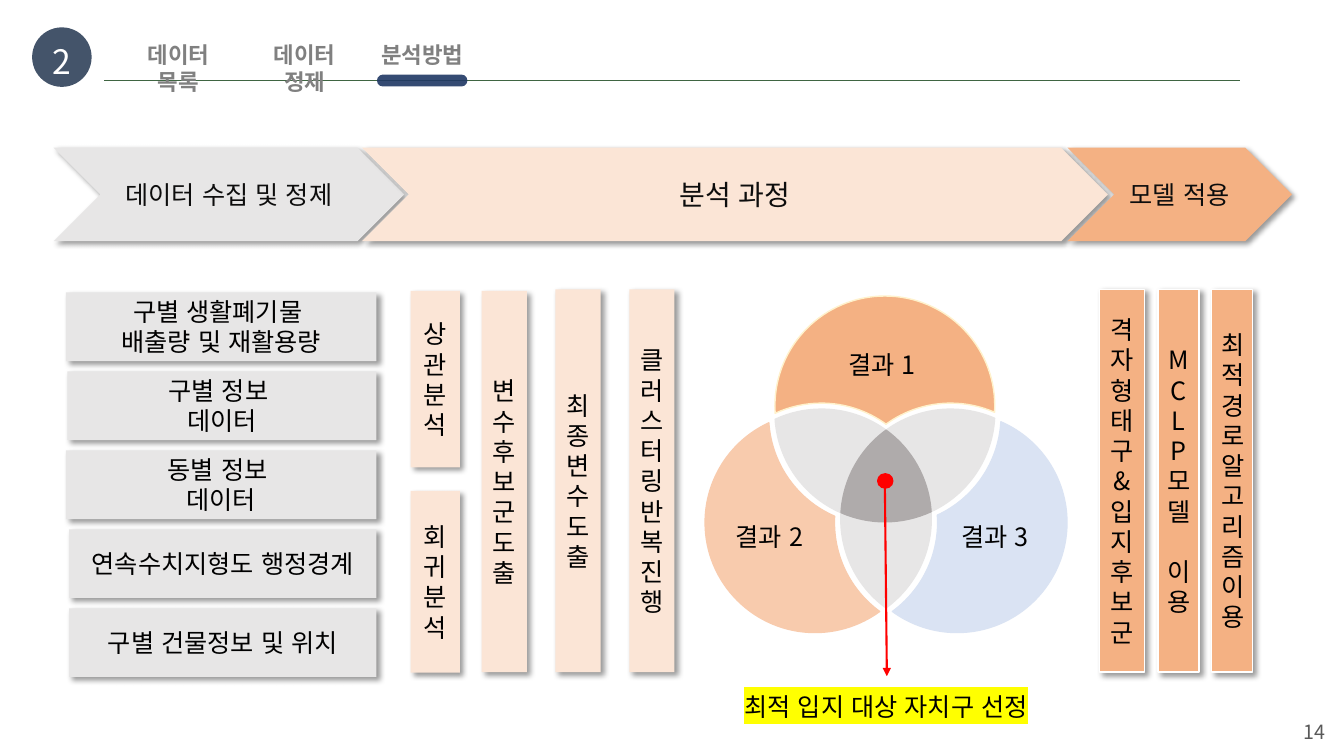
from dataclasses import dataclass
from math import atan2, ceil, cos, dist, floor, pi, sin, sqrt, tan

from lxml.etree import SubElement as Sub
from pptx import Presentation
from pptx.dml.color import RGBColor as Rgb
from pptx.enum.lang import MSO_LANGUAGE_ID as Lang
from pptx.enum.shapes import MSO_CONNECTOR as Link, MSO_SHAPE as Kind
from pptx.enum.text import MSO_ANCHOR as Anchor, MSO_AUTO_SIZE as Auto, PP_ALIGN as Align
from pptx.oxml.ns import qn
from pptx.util import Cm, Pt

FONT = "Noto Sans CJK KR"
HUES = {
    "black": "000000", "ink": "0D0D0D", "white": "FFFFFF", "slate": "44546A",
    "navy": "203864", "green": "3F6542", "gray": "808080", "page": "595959",
    "pale": "E7E6E6", "core": "AFABAB", "peach": "FBE5D6", "orange": "F4B183",
    "salmon": "F8CBAD", "blue": "DAE3F3", "cream": "FFF2CC", "red": "FF0000",
    "yellow": "FFFF00",
}
Point = tuple[float, float]
Curve = tuple[Point, Point, Point]


@dataclass
class Box:
    text: str
    x: float
    y: float
    w: float
    h: float
    fill: str
    edge: str = ""
    kind: Kind = Kind.RECTANGLE
    size: int = 18
    ink: str = "black"
    shade: bool = True


@dataclass
class Label:
    text: str
    x: float
    y: float
    w: float
    h: float
    size: int = 18
    ink: str = "black"
    bold: bool = False
    align: Align = Align.CENTER
    mark: str = ""


@dataclass
class Petal:
    mid: Point
    shift: Point
    fill: str
    edge: str


deck = Presentation()
deck.slide_width, deck.slide_height = Cm(33.87), Cm(19.05)
slide = deck.slides.add_slide(deck.slide_layouts[5])
shapes = slide.shapes


def hue(name: str) -> Rgb:
    return Rgb.from_string(HUES[name])


def write(frame, text: str, size: int, ink: str, bold=False, align=Align.CENTER) -> None:
    frame.word_wrap = True
    frame.text = text
    for para in frame.paragraphs:
        para.alignment = align
        font = para.font
        font.size, font.bold, font.name = Pt(size), bold, FONT
        font.language_id = Lang.KOREAN
        font.color.rgb = hue(ink)
        base = para._p.get_or_add_pPr().get_or_add_defRPr()
        base.set("kern", "0")
        Sub(base, qn("a:ea"), typeface=FONT)


def paint(shape, fill: str, edge: str = "") -> None:
    shape.shadow.inherit = False
    shape.fill.solid()
    shape.fill.fore_color.rgb = hue(fill)
    if edge:
        shape.line.color.rgb = hue(edge)
        shape.line.width = Pt(1)
    else:
        shape.line.fill.background()


def cast(shape) -> None:
    effects = shape._element.spPr.find(qn("a:effectLst"))
    outer = Sub(effects, qn("a:outerShdw"), blurRad=str(Pt(4)), dist=str(Pt(3)),
                dir="2700000", algn="tl", rotWithShape="0")
    Sub(Sub(outer, qn("a:srgbClr"), val=HUES["black"]), qn("a:alpha"), val="40000")


def draw(box: Box):
    shape = shapes.add_shape(box.kind, Cm(box.x), Cm(box.y), Cm(box.w), Cm(box.h))
    paint(shape, box.fill, box.edge)
    if box.shade:
        cast(shape)
    if box.text:
        shape.text_frame.vertical_anchor = Anchor.MIDDLE
        write(shape.text_frame, box.text, box.size, box.ink)
    return shape


def place(label: Label) -> None:
    frame = shapes.add_textbox(Cm(label.x), Cm(label.y), Cm(label.w), Cm(label.h)).text_frame
    write(frame, label.text, label.size, label.ink, label.bold, label.align)
    if label.mark:
        props = frame.paragraphs[0].runs[0]._r.get_or_add_rPr()
        Sub(Sub(props, qn("a:highlight")), qn("a:srgbClr"), val=HUES[label.mark])


def rule(start: Point, end: Point, ink: str, width: float):
    line = shapes.add_connector(Link.STRAIGHT, *map(Cm, start + end))
    line.line.color.rgb = hue(ink)
    line.line.width = Pt(width)
    Sub(line._element.spPr, qn("a:effectLst"))
    return line


# Header
rule((2.63, 2.03), (31.24, 2.03), "green", 0.5)
draw(Box("", 0.81, 0.69, 1.5, 1.5, "slate", kind=Kind.OVAL, shade=False))
place(Label("2", 1.08, 0.91, 0.97, 1.27, 24, "white"))
for text, x in (("데이터 목록", 2.91), ("데이터 정제", 6.09)):
    place(Label(text, x, 0.91, 3.18, 0.94, 16, "gray", True))
bar = draw(Box("", 9.5, 1.88, 2.28, 0.3, "navy", kind=Kind.ROUNDED_RECTANGLE, shade=False))
bar.adjustments[0] = 0.5
Sub(bar._element.spPr.find(qn("a:solidFill"))[0], qn("a:alpha"), val="90000")
title = shapes.title
title.left, title.top, title.width, title.height = map(Cm, (9.26, 0.91, 2.77, 0.94))
title.text_frame.auto_size = Auto.NONE
title.text_frame.vertical_anchor = Anchor.TOP
write(title.text_frame, "분석방법", 16, "gray", True)

# Process steps
for text, x, w, fill, size in (
    ("데이터 수집 및 정제", 1.35, 8.84, "pale", 18),
    ("분석 과정", 9.12, 18.8, "peach", 20),
    ("모델 적용", 26.9, 5.66, "orange", 18),
):
    draw(Box(text, x, 3.72, w, 2.36, fill, kind=Kind.CHEVRON, size=size, ink="ink"))

# Data sources
for row, (text, x) in enumerate((
    ("구별 생활폐기물 \n배출량 및 재활용량", 1.66),
    ("구별 정보 \n데이터", 1.7),
    ("동별 정보 \n데이터", 1.66),
    ("연속수치지형도 행정경계", 1.74),
    ("구별 건물정보 및 위치", 1.74),
)):
    draw(Box(text, x, 7.37 + 1.99 * row, 9.49 - x, 1.73, "pale"))

# Upright bars
for bar in (
    Box("상관분석", 10.35, 7.33, 1.24, 4.45, "peach"),
    Box("회귀분석", 10.35, 12.37, 1.24, 4.58, "peach"),
    Box("변수 \n후보군 \n도출", 12.14, 7.33, 1.14, 9.61, "peach"),
    Box("최종변수\n도출", 14, 7.29, 1.14, 9.65, "peach"),
    Box("클러스터링 \n반복진행", 15.86, 7.29, 1.14, 9.65, "peach"),
    Box("격자형태 구&입지후보군", 27.71, 7.29, 1.14, 9.65, "orange", "white"),
    Box("MCLP 모델 이용", 29.18, 7.29, 1.04, 9.65, "orange", "white"),
    Box("최적경로알고리즘이용", 30.53, 7.29, 1.04, 9.65, "orange", "white"),
):
    draw(bar)

# Venn diagram: circles run clockwise from the top
RADIUS = 2.77
petals = [
    Petal((22.3, 10.38), (0, -0.15), "orange", "cream"),
    Petal((23.96, 13.08), (0.16, 0.09), "blue", "blue"),
    Petal((20.7, 13.08), (-0.16, 0.09), "salmon", "salmon"),
]


def meet(i: int, j: int, inner: bool) -> Point:
    """Crossing of two circles, inside or outside the third."""
    (ax, ay), (bx, by) = petals[i].mid, petals[j].mid
    gap = dist((ax, ay), (bx, by))
    rise = sqrt(RADIUS ** 2 - gap ** 2 / 4) / gap
    ends = [((ax + bx) / 2 + s * rise * (ay - by), (ay + by) / 2 + s * rise * (bx - ax))
            for s in (1, -1)]
    ends.sort(key=lambda p: dist(p, petals[3 - i - j].mid))
    return ends[0] if inner else ends[1]


def arc(i: int, start: Point, end: Point, turn: int) -> list[Curve]:
    """Curves along circle i, cut at its extremes; turn 1 is clockwise."""
    x, y = petals[i].mid
    a, b = (atan2(p[1] - y, p[0] - x) for p in (start, end))
    b = a + turn * ((turn * (b - a)) % (2 * pi))
    low, high = sorted((a, b))
    cuts = [n * pi / 2 for n in range(ceil(low * 2 / pi), floor(high * 2 / pi) + 1)]
    stops = [a, *cuts[::turn], b]

    def spot(t: float, pull: float = 0) -> Point:
        return (x + RADIUS * (cos(t) - pull * sin(t)), y + RADIUS * (sin(t) + pull * cos(t)))

    pulls = [(s, t, 4 / 3 * tan((t - s) / 4)) for s, t in zip(stops, stops[1:])]
    return [(spot(s, k), spot(t, -k), spot(t)) for s, t, k in pulls]


def region(curves: list[Curve], fill: str, edge: str, shift: Point = (0, 0)) -> None:
    turns = [[(Cm(x + shift[0]), Cm(y + shift[1])) for x, y in curve] for curve in curves]
    form = shapes.build_freeform(*turns[-1][-1])
    form.add_line_segments([turn[-1] for turn in turns], close=True)
    shape = form.convert_to_shape()
    for line, turn in zip(list(shape._element.iter(qn("a:lnTo"))), turns):
        line.tag = qn("a:cubicBezTo")
        line.remove(line[0])
        for x, y in turn:
            Sub(line, qn("a:pt"), x=str(x - shape.left), y=str(y - shape.top))
    paint(shape, fill, edge)


for i in range(3):
    j, k = (i + 1) % 3, (i + 2) % 3
    tip, near, far = meet(i, j, False), meet(i, k, True), meet(j, k, True)
    region(arc(i, tip, near, 1) + arc(k, near, far, -1) + arc(j, far, tip, 1), "pale", "pale")
for i, petal in enumerate(petals):
    j, k = (i + 1) % 3, (i + 2) % 3
    first, last, notch = meet(i, k, False), meet(i, j, False), meet(j, k, True)
    region(arc(i, first, last, 1) + arc(j, last, notch, -1) + arc(k, notch, first, -1),
           petal.fill, petal.edge, petal.shift)
top, right, left = meet(1, 2, True), meet(0, 2, True), meet(0, 1, True)
region(arc(2, top, right, 1) + arc(0, right, left, 1) + arc(1, left, top, 1), "core", "core")

# Venn labels and pointer
draw(Box("", 22.12, 11.94, 0.38, 0.36, "red", "red", Kind.OVAL, shade=False))
place(Label("최적 입지 대상 자치구 선정", 18.34, 17.3, 7.98, 1.02, mark="yellow"))
for text, x, y in (("결과 1", 21.13, 8.69), ("결과 2", 18.29, 13), ("결과 3", 23.98, 13)):
    place(Label(text, x, y, 2.44, 1.02, align=Align.LEFT))
arrow = rule((22.3, 12.29), (22.35, 17.04), "red", 1.5)
Sub(arrow.line._get_or_add_ln(), qn("a:tailEnd"), type="triangle")

# Page number
place(Label("14", 32.61, 18.01, 1.17, 0.86, 14, "page", align=Align.LEFT))

deck.save("out.pptx")
